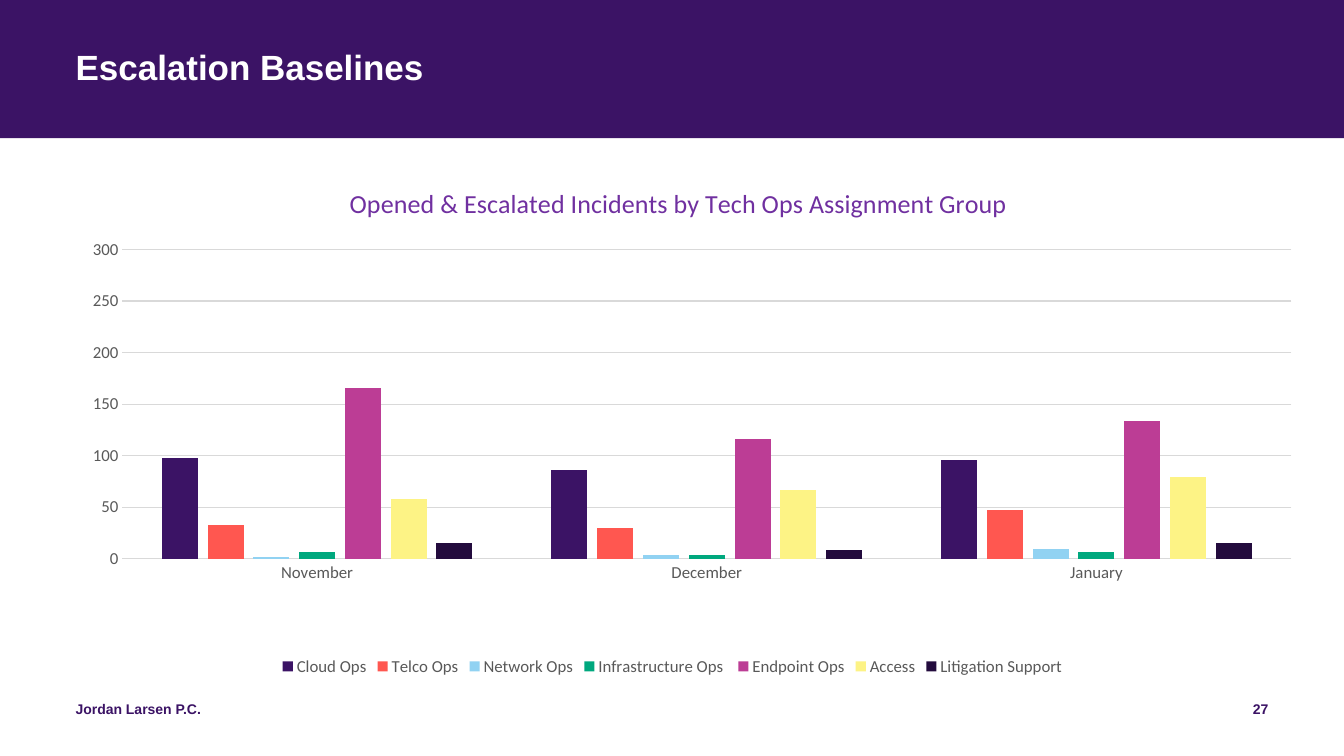
from dataclasses import dataclass

from lxml import etree
from pptx import Presentation
from pptx.chart.data import CategoryChartData
from pptx.dml.color import RGBColor
from pptx.enum.chart import XL_CHART_TYPE, XL_LEGEND_POSITION, XL_TICK_MARK
from pptx.enum.shapes import MSO_SHAPE
from pptx.enum.text import MSO_ANCHOR, MSO_AUTO_SIZE, PP_ALIGN
from pptx.oxml.ns import qn
from pptx.util import Inches, Pt

COLUMN = XL_CHART_TYPE.COLUMN_CLUSTERED
BOTTOM = XL_LEGEND_POSITION.BOTTOM
NO_TICK = XL_TICK_MARK.NONE
LEFT, RIGHT = PP_ALIGN.LEFT, PP_ALIGN.RIGHT


@dataclass(frozen=True)
class Theme:
    purple: str = "3B1365"
    white: str = "FFFFFF"
    chart_title: str = "7030A0"
    label: str = "595959"
    grid: str = "D9D9D9"
    font: str = "Arial"
    chart_font: str = "Calibri"
    title_size: float = 25
    footer_size: float = 10
    chart_title_size: float = 18.6
    label_size: float = 12


THEME = Theme()
MONTHS = ["November", "December", "January"]
GROUPS = [
    ("Cloud Ops", (98, 86, 96), "3B1365"),
    ("Telco Ops", (33, 30, 47), "FF5750"),
    ("Network Ops", (2, 4, 9), "91D2F2"),
    ("Infrastructure Ops ", (6, 4, 6), "00A87E"),
    ("Endpoint Ops", (166, 116, 134), "BC3D95"),
    ("Access", (58, 67, 79), "FDF385"),
    ("Litigation Support", (15, 8, 15), "230B3D"),
]


def rgb(color):
    return RGBColor.from_string(color)


def style_font(font, name, size, color, bold=False):
    font.name, font.size, font.bold = name, Pt(size), bold
    font.color.rgb = rgb(color)


def write_line(tf, text, size, color, align=LEFT):
    """Fill a text frame with one bold line, flush with its box."""
    tf.margin_left = tf.margin_right = tf.margin_top = tf.margin_bottom = 0
    tf.word_wrap, tf.auto_size = True, MSO_AUTO_SIZE.NONE
    tf.vertical_anchor = MSO_ANCHOR.TOP
    p = tf.paragraphs[0]
    p.alignment = align
    r = p.add_run()
    r.text = text
    style_font(r.font, THEME.font, size, color, bold=True)
    return p


def add_band(s, width, height):
    band = s.shapes.add_shape(MSO_SHAPE.RECTANGLE, 0, 0, width, height)
    band.shadow.inherit = False
    band.fill.solid()
    band.fill.fore_color.rgb = rgb(THEME.purple)
    band.line.fill.background()
    s.shapes._spTree.insert(2, band._element)  # behind the title


def set_title(s, text):
    sp = s.shapes.title
    sp.left, sp.top = Inches(0.75), Inches(0.5)
    sp.width, sp.height = Inches(11.83), Inches(0.81)
    p = write_line(sp.text_frame, text, THEME.title_size, THEME.white)
    p.line_spacing = 0.9


def add_footer(s, text, left, width, align):
    sp = s.shapes.add_textbox(Inches(left), Inches(6.95), Inches(width), Inches(0.4))
    write_line(sp.text_frame, text, THEME.footer_size, THEME.purple, align)


def place(element, **values):
    """Give a chart part a manual layout, in fractions of the chart."""
    layout = element.find(qn("c:layout"))
    if layout is None:
        layout = etree.Element(qn("c:layout"))
        element.insert(0, layout)
    manual = etree.SubElement(layout, qn("c:manualLayout"))
    for tag, value in values.items():
        etree.SubElement(manual, qn("c:" + tag)).set("val", str(value))


def style_axis(axis):
    axis.major_tick_mark = axis.minor_tick_mark = NO_TICK
    style_font(axis.tick_labels.font, THEME.chart_font, THEME.label_size, THEME.label)


def style_line(line):
    line.color.rgb = rgb(THEME.grid)
    line.width = Pt(0.75)


def add_incident_chart(s, title):
    data = CategoryChartData()
    data.categories = MONTHS
    for name, values, _ in GROUPS:
        data.add_series(name, values)
    chart = s.shapes.add_chart(COLUMN, Inches(0.25), Inches(1.55),
                               Inches(12.84), Inches(5.2), data).chart
    style_font(chart.font, THEME.chart_font, THEME.label_size, THEME.label)

    # Title
    r = chart.chart_title.text_frame.paragraphs[0].add_run()
    r.text = title
    style_font(r.font, THEME.chart_font, THEME.chart_title_size, THEME.chart_title)
    place(chart.chart_title._element, xMode="edge", yMode="edge", x=0.247, y=0.047)

    # Columns
    plot = chart.plots[0]
    plot.vary_by_categories = False
    plot.gap_width, plot.overlap = 219, -27
    for series, (_, _, color) in zip(plot.series, GROUPS):
        series.format.fill.solid()
        series.format.fill.fore_color.rgb = rgb(color)
    place(chart._chartSpace.chart.plotArea, layoutTarget="inner", xMode="edge",
          yMode="edge", x=0.075, y=0.178, w=0.903, h=0.59)

    # Axes and grid
    months, counts = chart.category_axis, chart.value_axis
    style_axis(months)
    style_line(months.format.line)
    style_axis(counts)
    counts.minimum_scale, counts.maximum_scale, counts.major_unit = 0, 300, 50
    counts.format.line.fill.background()
    style_line(counts.major_gridlines.format.line)

    # Legend
    chart.has_legend = True
    chart.legend.position = BOTTOM
    chart.legend.include_in_layout = False
    style_font(chart.legend.font, THEME.chart_font, THEME.label_size, THEME.label)


def main():
    prs = Presentation()
    prs.slide_width, prs.slide_height = Inches(13.33), Inches(7.5)
    s = prs.slides.add_slide(prs.slide_layouts[5])
    add_band(s, prs.slide_width, Inches(1.37))
    set_title(s, "Escalation Baselines")
    add_incident_chart(s, "Opened & Escalated Incidents by Tech Ops Assignment Group")
    add_footer(s, "Jordan Larsen P.C.", 0.75, 4.5, LEFT)
    add_footer(s, "27", 9.58, 3, RIGHT)
    prs.save("out.pptx")


if __name__ == "__main__":
    main()
